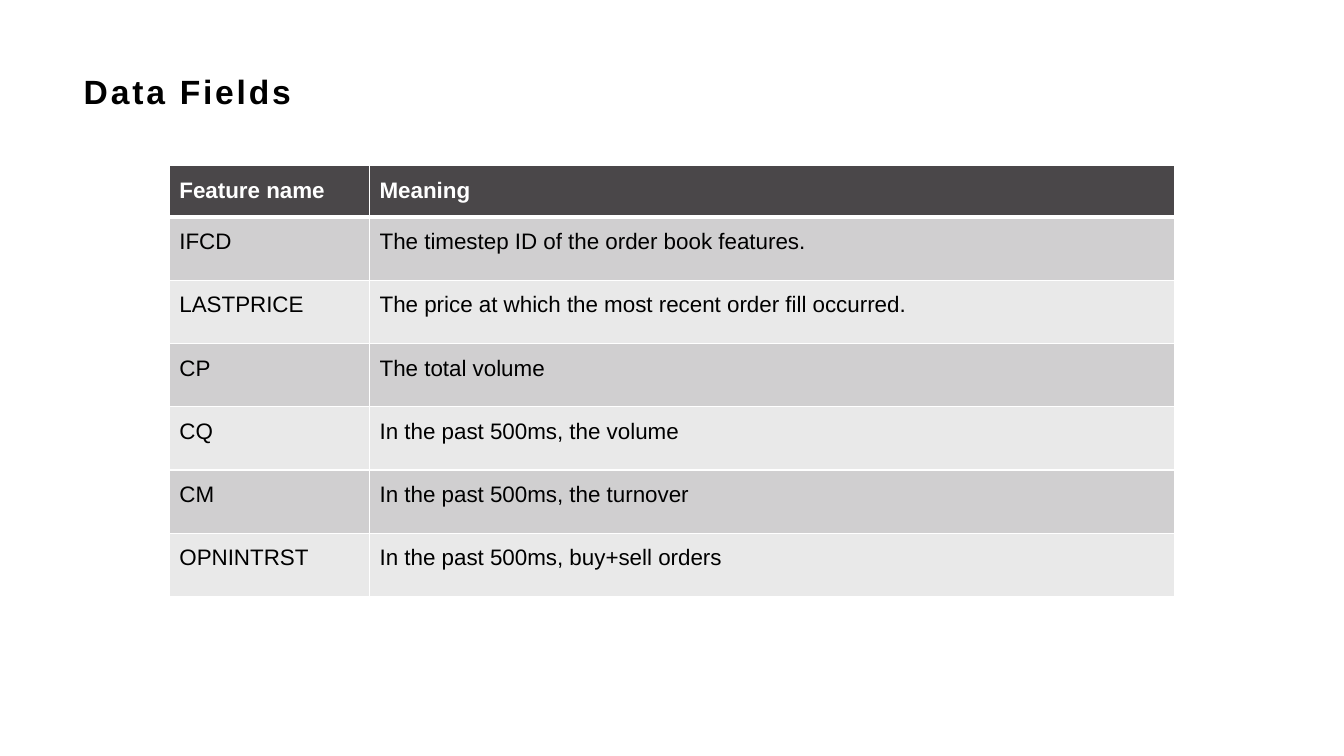
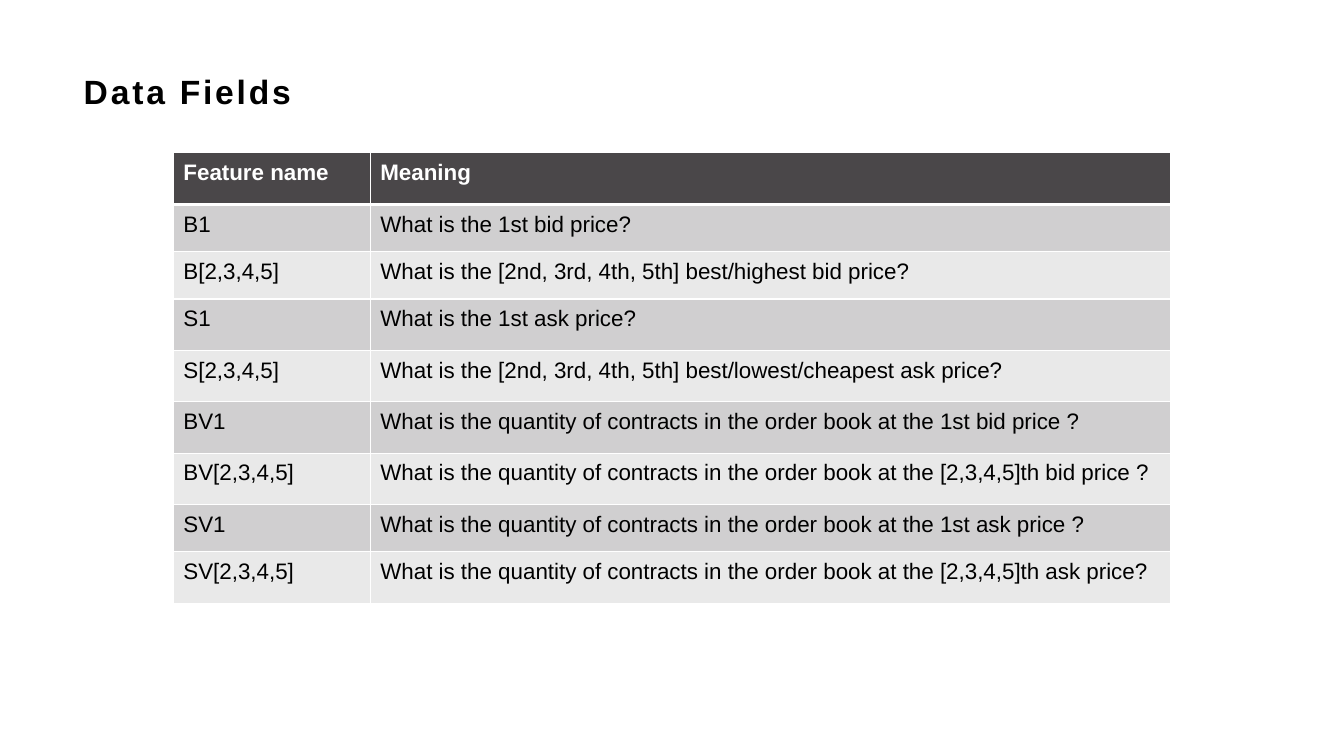
"""Build two slides that list the data fields of an order book."""
from dataclasses import dataclass

import lxml.etree
import pptx
import pptx.dml.color
import pptx.enum.text
import pptx.oxml.ns
import pptx.util


@dataclass(frozen=True)
class Theme:
    """Hold the fonts, sizes and colours that the slides share."""
    font: str = "Arial"
    title: int = 24
    body: int = 16
    track: int = 200
    ink: str = "000000"
    paper: str = "FFFFFF"
    head: str = "4A4749"
    bands: tuple = ("D0CFD0", "E9E9E9")
    thin: int = 1
    thick: int = 3


THEME = Theme()
WIDE = pptx.util.Inches(13.33)
HIGH = pptx.util.Inches(7.5)
HEADS = ("Feature name", "Meaning")

TRADES = (
    ("IFCD", "The timestep ID of the order book features."),
    ("LASTPRICE", "The price at which the most recent order fill occurred."),
    ("CP", "The total volume"),
    ("CQ", "In the past 500ms, the volume"),
    ("CM", "In the past 500ms, the turnover"),
    ("OPNINTRST", "In the past 500ms, buy+sell orders"),
)
QUOTES = (
    ("B1", "What is the 1st bid price?"),
    ("B[2,3,4,5]", "What is the [2nd, 3rd, 4th, 5th] best/highest bid price?"),
    ("S1", "What is the 1st ask price?"),
    ("S[2,3,4,5]", "What is the [2nd, 3rd, 4th, 5th] best/lowest/cheapest ask price?"),
    ("BV1", "What is the quantity of contracts in the order book at the 1st bid price ?"),
    ("BV[2,3,4,5]", "What is the quantity of contracts in the order book at the [2,3,4,5]th bid price ?"),
    ("SV1", "What is the quantity of contracts in the order book at the 1st ask price ?"),
    ("SV[2,3,4,5]", "What is the quantity of contracts in the order book at the [2,3,4,5]th ask price?"),
)


def across(share):
    """Turn a percentage of the slide's width into a length."""
    return round(WIDE * share / 100)


def down(share):
    """Turn a percentage of the slide's height into a length."""
    return round(HIGH * share / 100)


def tint(code):
    """Return the colour for a hex code."""
    return pptx.dml.color.RGBColor.from_string(code)


def write(para, text, size, color, bold):
    """Add one run in the theme's font and return it."""
    run = para.add_run()
    run.text = text
    run.font.name = THEME.font
    run.font.size = pptx.util.Pt(size)
    run.font.bold = bold
    run.font.color.rgb = tint(color)
    return run


def add_title(slide, text):
    """Place and fill the title of a slide."""
    title = slide.shapes.title
    title.left, title.top = across(5.48), down(8.8)
    title.width, title.height = across(89.05), down(6.4)
    frame = title.text_frame
    frame.auto_size = pptx.enum.text.MSO_AUTO_SIZE.NONE
    frame.vertical_anchor = pptx.enum.text.MSO_ANCHOR.MIDDLE
    para = frame.paragraphs[0]
    para.alignment = pptx.enum.text.PP_ALIGN.LEFT
    run = write(para, text, THEME.title, THEME.ink, True)
    run.font._element.set("spc", str(THEME.track))


def edge(cell, side, width):
    """Draw one border of a cell."""
    name = pptx.oxml.ns.qn
    props = cell._tc.get_or_add_tcPr()
    line = lxml.etree.SubElement(props, name(f"a:ln{side}"), w=str(pptx.util.Pt(width)))
    fill = lxml.etree.SubElement(line, name("a:solidFill"))
    lxml.etree.SubElement(fill, name("a:srgbClr"), val=THEME.paper)


def fill_cell(cell, text, row, lead):
    """Write and style a cell by the row it is in."""
    head = row == 0
    widths = {
        "L": THEME.thin,
        "R": THEME.thin,
        "T": THEME.thick if row == 1 else THEME.thin,
        "B": THEME.thick if head else THEME.thin,
    }
    for side, width in widths.items():
        edge(cell, side, width)
    cell.fill.solid()
    cell.fill.fore_color.rgb = tint(THEME.head if head else THEME.bands[(row - 1) % 2])
    para = cell.text_frame.paragraphs[0]
    para.line_spacing = lead
    write(para, text, THEME.body, THEME.paper if head else THEME.ink, head)


def add_grid(slide, left, top, cols, rows, lead, fields):
    """Add a table of fields under a header row."""
    frame = slide.shapes.add_table(
        len(rows), len(cols), across(left), down(top), across(sum(cols)), down(sum(rows)))
    table = frame.table
    table.horz_banding = False
    for col, width in zip(table.columns, cols):
        col.width = across(width)
    for line, height in zip(table.rows, rows):
        line.height = down(height)
    for row, texts in enumerate((HEADS, *fields)):
        for col, text in enumerate(texts):
            fill_cell(table.cell(row, col), text, row, lead)


def add_page(deck, **grid):
    """Add a slide with the shared title and one table."""
    slide = deck.slides.add_slide(deck.slide_layouts.get_by_name("Title Only"))
    add_title(slide, "Data Fields")
    add_grid(slide, **grid)


def main():
    """Build and save the deck."""
    deck = pptx.Presentation()
    deck.slide_width, deck.slide_height = WIDE, HIGH
    add_page(deck, left=12.6, top=21.9, cols=(14.9, 59.9),
             rows=[6.8] + [8.37] * len(TRADES), lead=1.3, fields=TRADES)
    low, tall = 6.25, 6.8
    add_page(deck, left=12.9, top=20.15, cols=(14.65, 59.55),
             rows=[6.9, low, low] + [tall] * 4 + [low, tall], lead=1.1, fields=QUOTES)
    deck.save("out.pptx")


if __name__ == "__main__":
    main()
